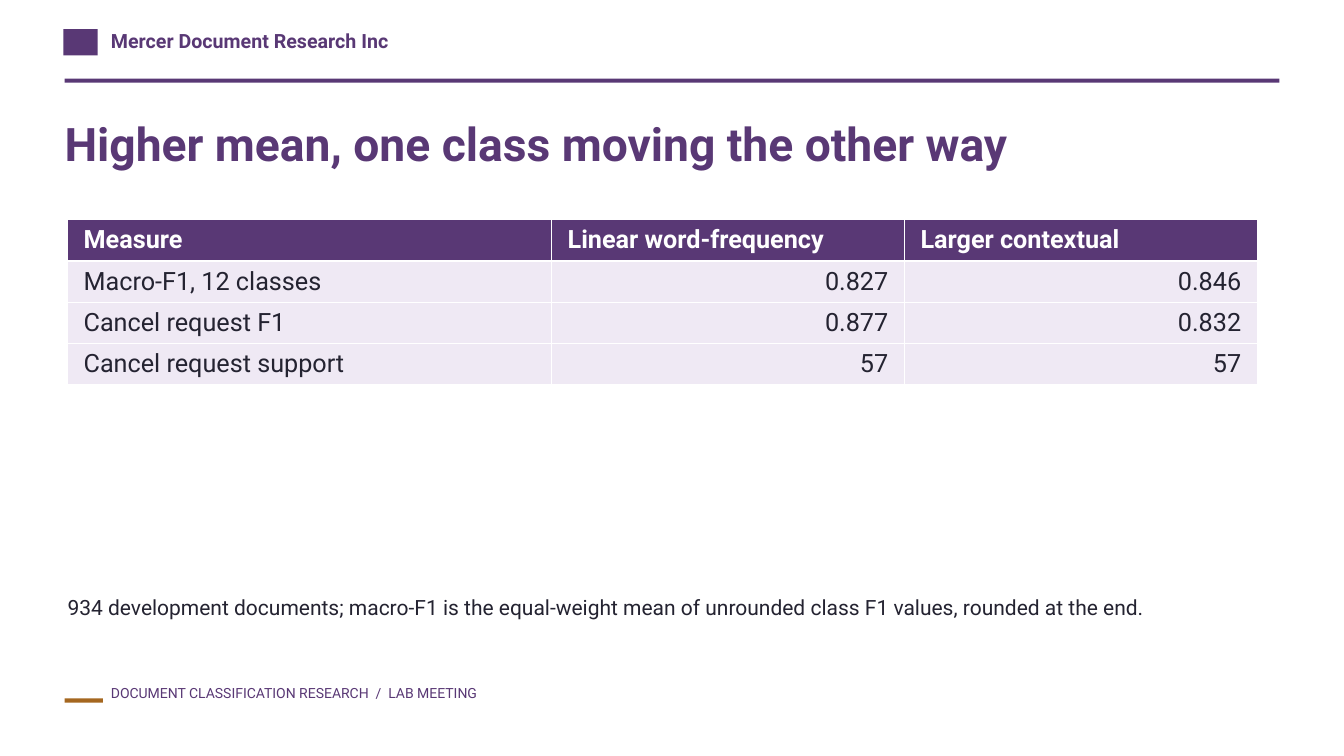
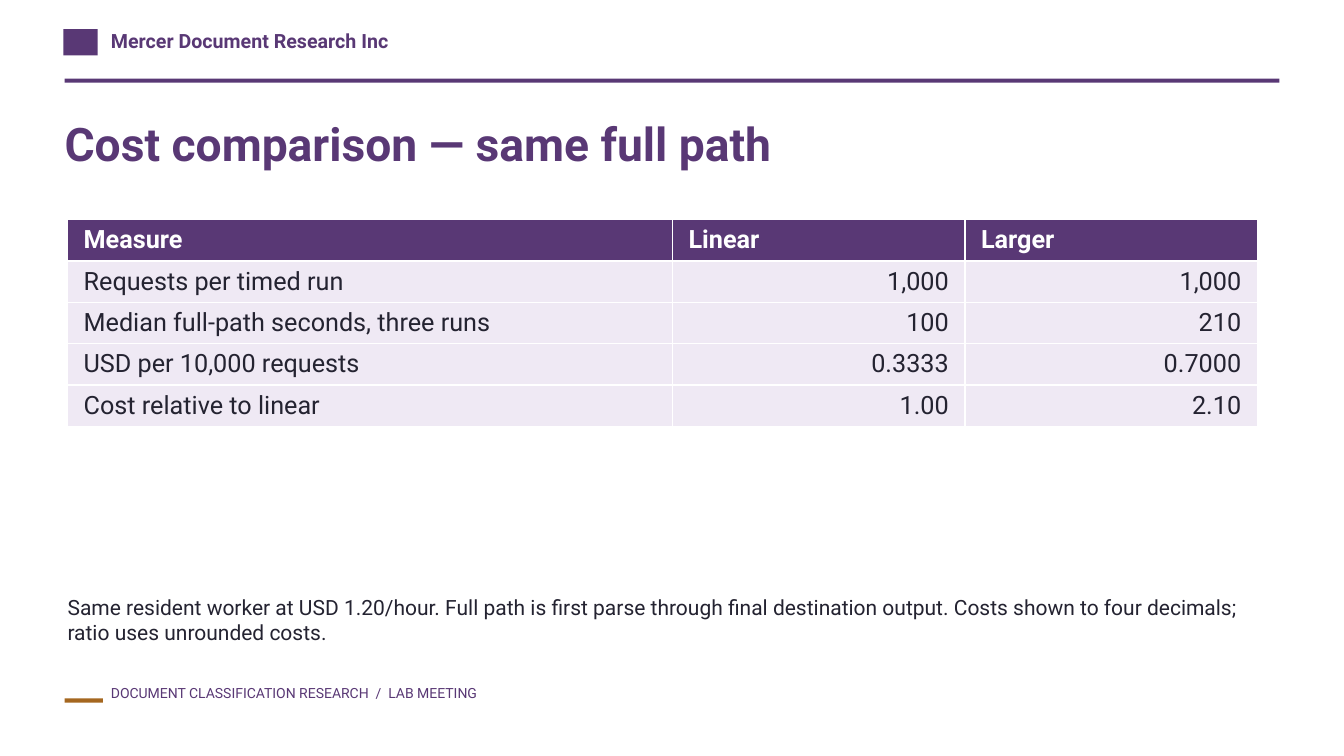
"""Build two lab-meeting slides that compare document classifiers."""
import dataclasses
import typing

import pptx
import pptx.dml.color
import pptx.enum.shapes
import pptx.enum.text
import pptx.util

Inches = pptx.util.Inches
Pt = pptx.util.Pt
ALIGN = pptx.enum.text.PP_ALIGN

FONT = "Roboto"
COLORS = {
    "purple": "593875",
    "amber": "A56720",
    "ink": "242331",
    "lilac": "EFE9F4",
    "white": "FFFFFF",
}
ROW_HEIGHT = 0.41


class Area(typing.NamedTuple):
    left: float
    top: float
    width: float
    height: float

    def lengths(self) -> list[pptx.util.Length]:
        return [Inches(value) for value in self]


class Style(typing.NamedTuple):
    size: int
    color: str
    bold: bool = False


@dataclasses.dataclass(frozen=True)
class Bar:
    area: Area
    color: str


@dataclasses.dataclass(frozen=True)
class Label:
    area: Area
    text: str
    style: Style
    wrap: bool = False
    space_after: int = 0


@dataclasses.dataclass(frozen=True)
class Comparison:
    title: str
    widths: tuple[float, ...]
    rows: tuple[tuple[str, ...], ...]
    note: str


TITLE = Style(33, "purple", True)
NOTE = Style(15, "ink")
TABLE_HEAD = Style(18, "white", True)
TABLE_BODY = Style(18, "ink")

BARS = (
    Bar(Area(0.63, 0.29, 0.34, 0.26), "purple"),
    Bar(Area(0.64, 0.78, 12.05, 0.04), "purple"),
    Bar(Area(0.64, 6.93, 0.38, 0.04), "amber"),
)
FRAME_LABELS = (
    Label(Area(1.1, 0.29, 3.1, 0.3), "Mercer Document Research Inc",
          Style(14, "purple", True)),
    Label(Area(1.1, 6.79, 4.3, 0.35),
          "DOCUMENT CLASSIFICATION RESEARCH  /  LAB MEETING",
          Style(10, "purple")),
)
COMPARISONS = (
    Comparison(
        "Higher mean, one class moving the other way",
        (4.8, 3.5, 3.5),
        (
            ("Measure", "Linear word-frequency", "Larger contextual"),
            ("Macro-F1, 12 classes", "0.827", "0.846"),
            ("Cancel request F1", "0.877", "0.832"),
            ("Cancel request support", "57", "57"),
        ),
        "934 development documents; macro-F1 is the equal-weight mean of "
        "unrounded class F1 values, rounded at the end.",
    ),
    Comparison(
        "Cost comparison — same full path",
        (6, 2.9, 2.9),
        (
            ("Measure", "Linear", "Larger"),
            ("Requests per timed run", "1,000", "1,000"),
            ("Median full-path seconds, three runs", "100", "210"),
            ("USD per 10,000 requests", "0.3333", "0.7000"),
            ("Cost relative to linear", "1.00", "2.10"),
        ),
        "Same resident worker at USD 1.20/hour. Full path is first parse "
        "through final destination output. Costs shown to four decimals; "
        "ratio uses unrounded costs.",
    ),
)


def rgb(name: str) -> pptx.dml.color.RGBColor:
    return pptx.dml.color.RGBColor.from_string(COLORS[name])


def add_span(para, text: str, style: Style) -> None:
    span = para.add_run()
    span.text = text
    span.font.name = FONT
    span.font.size = Pt(style.size)
    span.font.bold = style.bold
    span.font.color.rgb = rgb(style.color)


def draw_bar(page, bar: Bar) -> None:
    shape = page.shapes.add_shape(
        pptx.enum.shapes.MSO_SHAPE.RECTANGLE, *bar.area.lengths())
    shape.shadow.inherit = False
    shape.fill.solid()
    shape.fill.fore_color.rgb = rgb(bar.color)
    shape.line.fill.background()


def draw_label(page, label: Label) -> None:
    box = page.shapes.add_textbox(*label.area.lengths())
    frame = box.text_frame
    frame.word_wrap = label.wrap
    frame.margin_left = frame.margin_right = 0
    frame.margin_top = frame.margin_bottom = 0
    para = frame.paragraphs[0]
    para.space_after = Pt(label.space_after)
    add_span(para, label.text, label.style)


def fill_cell(cell, text: str, is_head: bool, is_number: bool) -> None:
    cell.fill.solid()
    cell.fill.fore_color.rgb = rgb("purple" if is_head else "lilac")
    cell.vertical_anchor = pptx.enum.text.MSO_ANCHOR.MIDDLE
    cell.margin_left = cell.margin_right = Inches(0.16)
    cell.margin_top = cell.margin_bottom = Inches(0.05)
    para = cell.text_frame.paragraphs[0]
    para.alignment = ALIGN.RIGHT if is_number else ALIGN.LEFT
    add_span(para, text, TABLE_HEAD if is_head else TABLE_BODY)


def draw_table(page, comparison: Comparison) -> None:
    rows, widths = comparison.rows, comparison.widths
    area = Area(0.67, 2.18, sum(widths), ROW_HEIGHT * len(rows))
    table = page.shapes.add_table(
        len(rows), len(widths), *area.lengths()).table
    for column, width in zip(table.columns, widths):
        column.width = Inches(width)
    for row_index, row in enumerate(rows):
        table.rows[row_index].height = Inches(ROW_HEIGHT)
        for column_index, text in enumerate(row):
            is_head = row_index == 0
            fill_cell(table.cell(row_index, column_index), text, is_head,
                      not is_head and column_index > 0)


def draw_page(deck, comparison: Comparison) -> None:
    page = deck.slides.add_slide(deck.slide_layouts[6])
    page.background.fill.solid()
    page.background.fill.fore_color.rgb = rgb("white")
    for bar in BARS:
        draw_bar(page, bar)
    for label in FRAME_LABELS:
        draw_label(page, label)
    draw_label(page, Label(Area(0.64, 1.14, 12.04, 0.82), comparison.title,
                           TITLE, wrap=True, space_after=8))
    draw_table(page, comparison)
    draw_label(page, Label(Area(0.67, 5.9, 11.99, 0.58), comparison.note,
                           NOTE, wrap=True, space_after=8))


def main() -> None:
    deck = pptx.Presentation()
    deck.slide_width = Inches(13.33)
    deck.slide_height = Inches(7.5)
    for comparison in COMPARISONS:
        draw_page(deck, comparison)
    deck.save("out.pptx")


if __name__ == "__main__":
    main()
